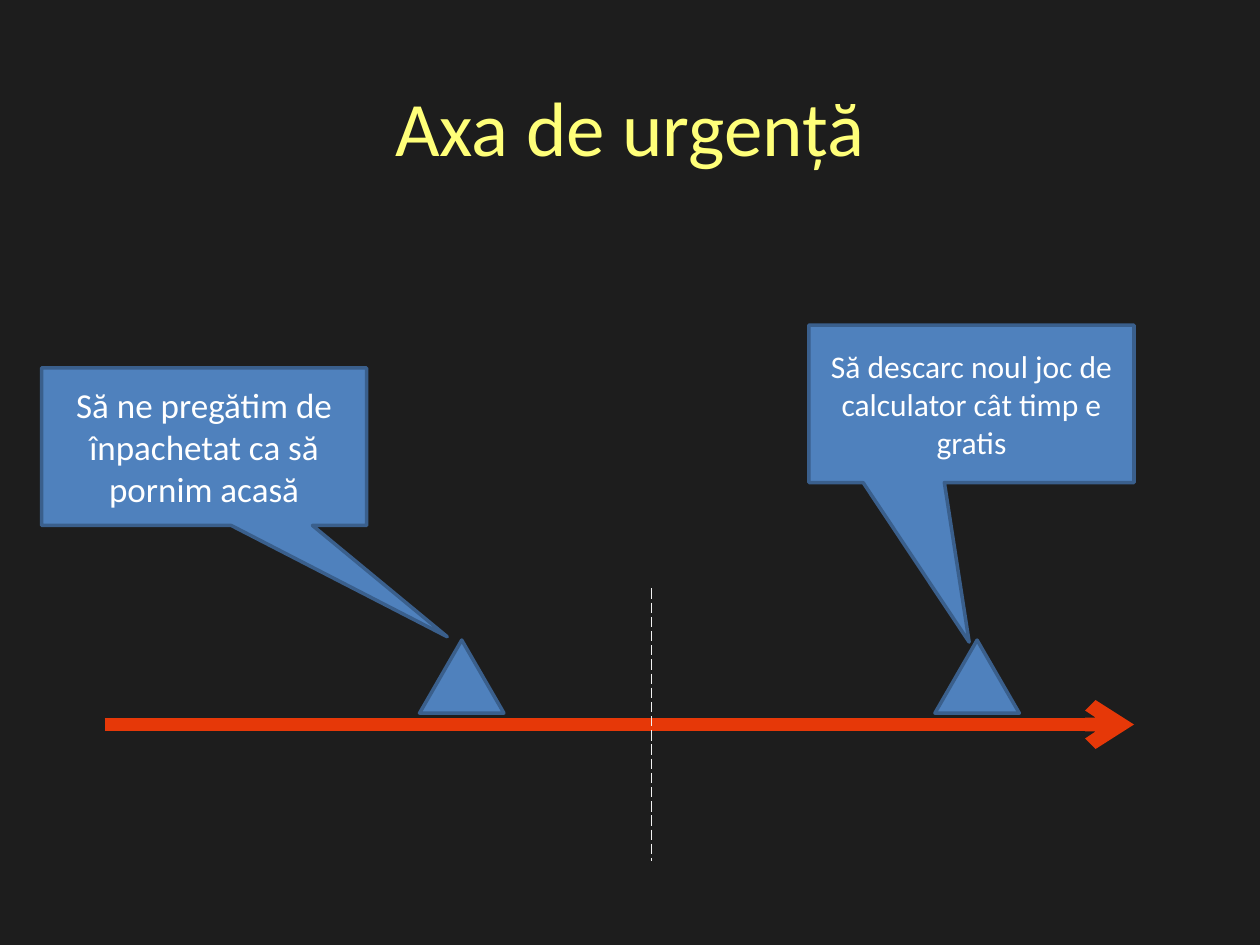
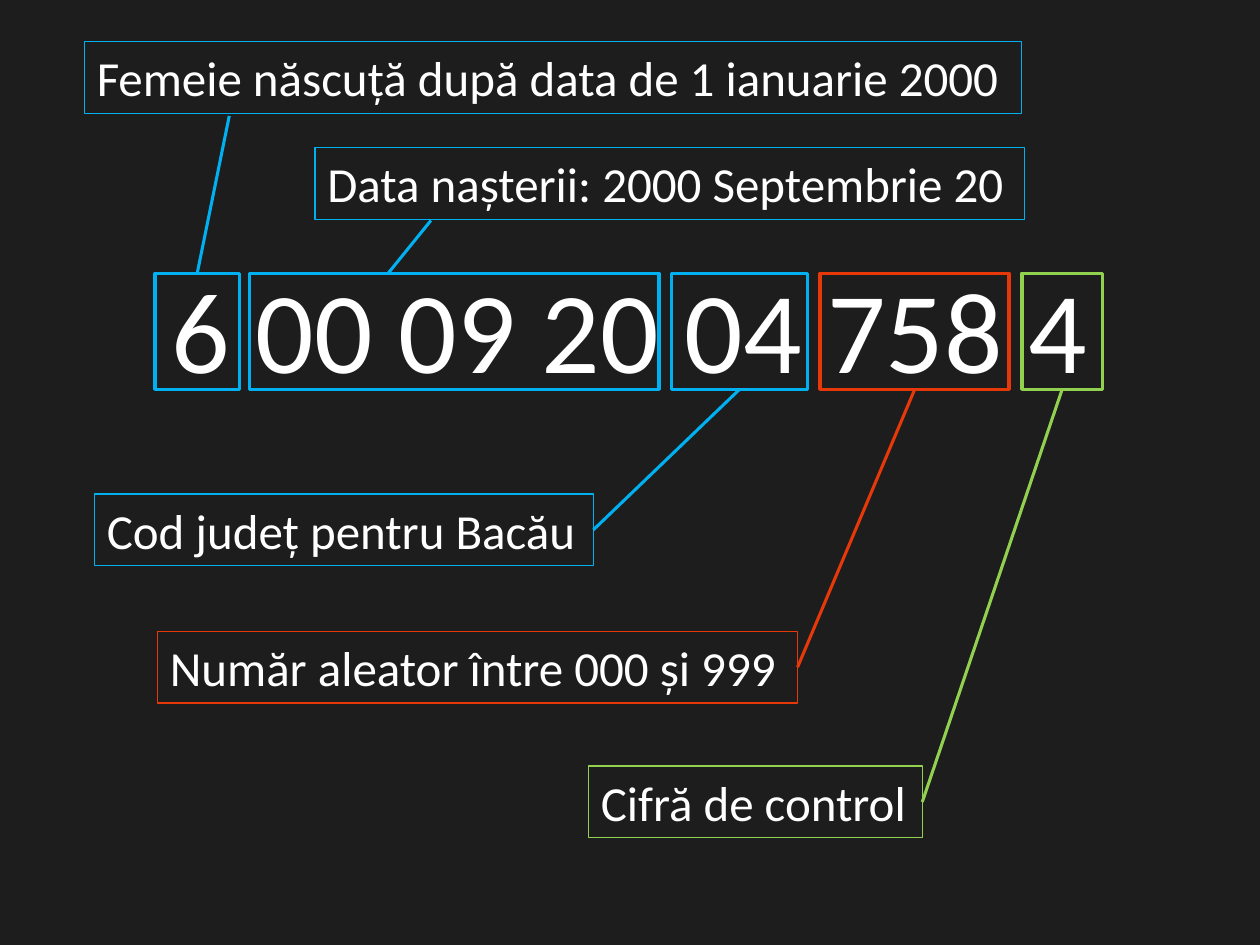
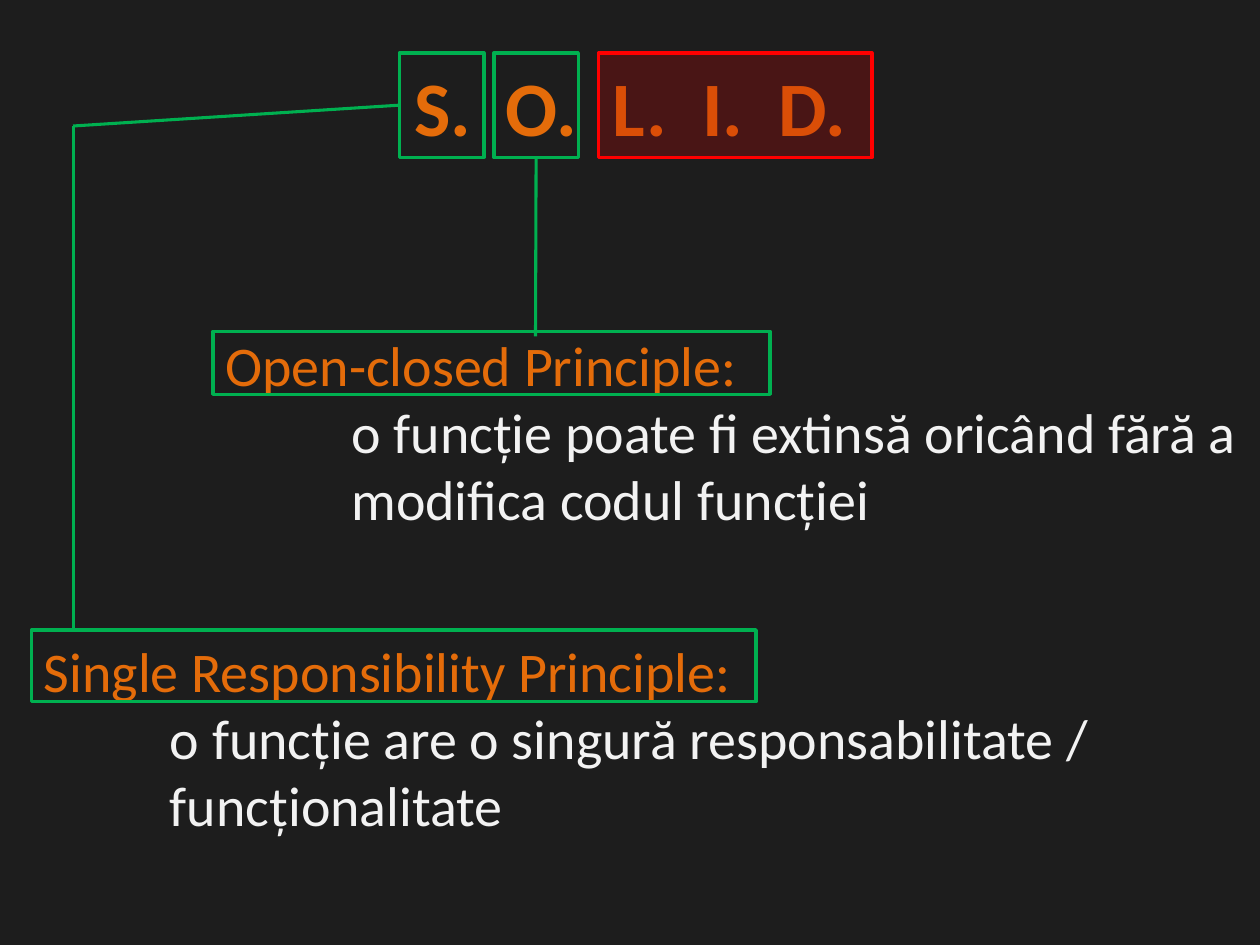
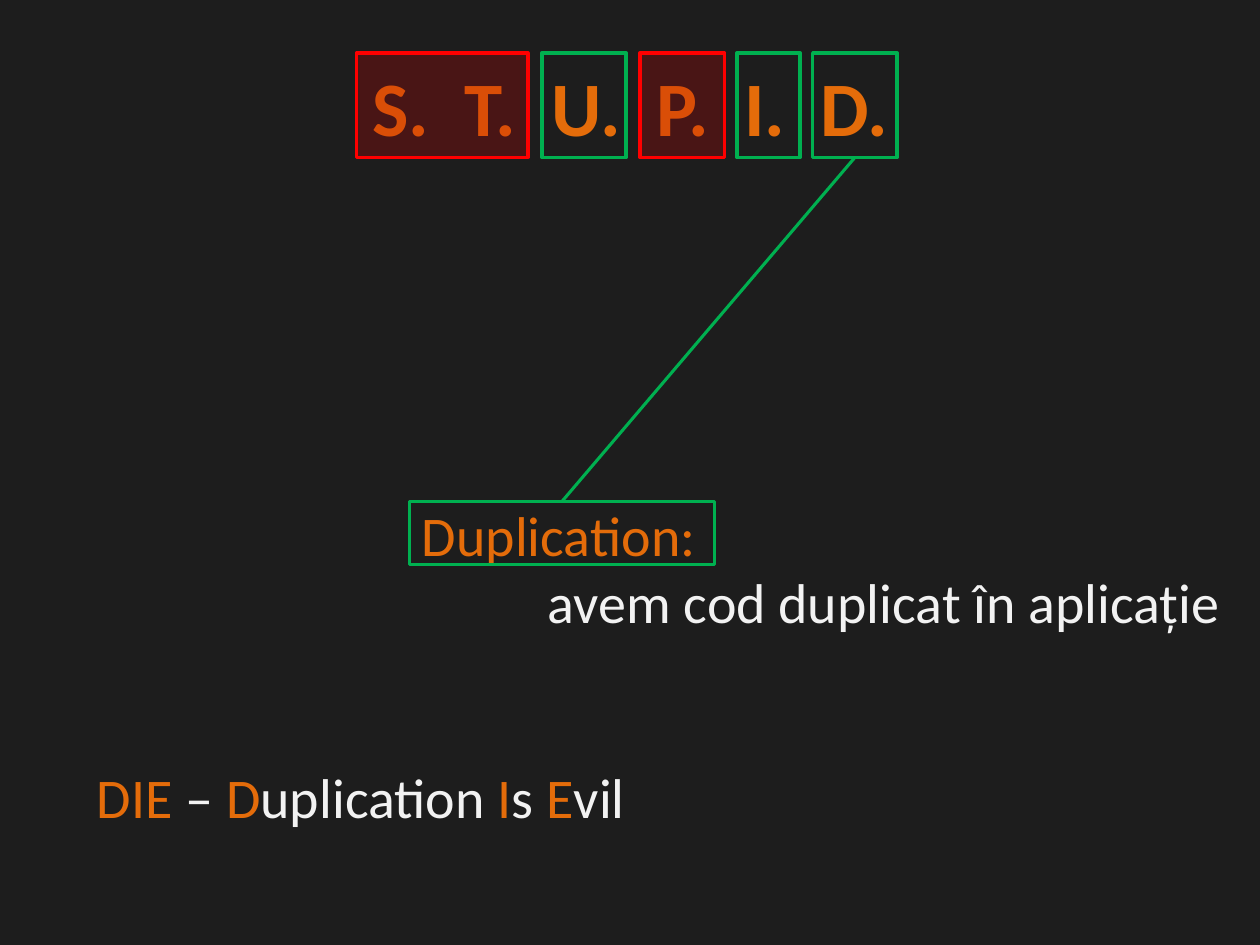
from lxml.etree import SubElement
from pptx import Presentation
from pptx.dml.color import RGBColor
from pptx.enum.dml import MSO_LINE
from pptx.enum.shapes import MSO_CONNECTOR, MSO_SHAPE
from pptx.enum.text import MSO_ANCHOR, MSO_AUTO_SIZE, PP_ALIGN
from pptx.oxml.ns import qn
from pptx.util import Inches, Pt

COLORS = {
    "background": "1D1D1D",
    "white": "FFFFFF",
    "light": "F2F2F2",
    "yellow": "FFFF79",
    "orange": "E46C0A",
    "green": "00B050",
    "lime": "92D050",
    "cyan": "00B0F0",
    "vermilion": "E63808",
    "red": "FF0000",
    "dark red": "C00000",
    "blue": "4F81BD",
    "blue edge": "3A5F8C",
}
FONT = "Calibri"
BOTTOM, LEFT, TOP, RIGHT = 2, 1, 0, 3


def rgb(name):
    return RGBColor.from_string(COLORS[name])


class Deck:
    """Holds the shared style and the slide being filled."""

    def __init__(self):
        self.presentation = Presentation()
        self.presentation.slide_width = Inches(10)
        self.presentation.slide_height = Inches(7.5)
        self.slide = None

    def new_slide(self):
        self.slide = self.presentation.slides.add_slide(self.presentation.slide_layouts[6])
        background = self.slide.background.fill
        background.solid()
        background.fore_color.rgb = rgb("background")

    def format_run(self, run, size, color, bold=False):
        run.font.name = FONT
        run.font.size = Pt(size)
        run.font.bold = bold
        run.font.color.rgb = rgb(color)

    def text(self, box, content, size, color, align=PP_ALIGN.LEFT):
        """Add a text box; the caller may add paragraphs to its text frame."""
        text_box = self.slide.shapes.add_textbox(*map(Inches, box))
        text_frame = text_box.text_frame
        text_frame.word_wrap = True
        text_frame.auto_size = MSO_AUTO_SIZE.SHAPE_TO_FIT_TEXT
        text_frame.text = content
        paragraph = text_frame.paragraphs[0]
        paragraph.alignment = align
        for run in paragraph.runs:
            self.format_run(run, size, color)
        return text_box

    def label(self, left, top, width, content, color):
        label = self.text((left, top, width, 0.57), content, 28, "white")
        label.line.color.rgb = rgb(color)
        label.line.width = Pt(0.75)
        return label

    def principle(self, box, name, meaning):
        """Add a principle's name with its meaning indented below."""
        text_frame = self.text(box, name, 32, "orange").text_frame
        paragraph = text_frame.add_paragraph()
        paragraph.text = meaning
        paragraph._p.get_or_add_pPr().set("marL", str(Inches(1)))
        self.format_run(paragraph.runs[0], 32, "light")

    def acronym(self, letters):
        """Add a heading of dotted letters with widened spaces between them."""
        heading = self.text((0, 0.42, 10, 0.84), "", 44, "orange", PP_ALIGN.CENTER)
        paragraph = heading.text_frame.paragraphs[0]
        for index, letter in enumerate(letters):
            if index:
                space = paragraph.add_run()
                space.text = " "
                self.format_run(space, 44, "orange", bold=True)
                space._r.get_or_add_rPr().set("spc", "1000")
            run = paragraph.add_run()
            run.text = f"{letter}."
            self.format_run(run, 44, "orange", bold=True)

    def mixed_text(self, box, parts, colors):
        """Add one line whose parts take the colours in turn."""
        paragraph = self.text(box, "", 32, colors[0]).text_frame.paragraphs[0]
        for index, part in enumerate(parts):
            run = paragraph.add_run()
            run.text = part
            self.format_run(run, 32, colors[index % len(colors)])

    def shape(self, kind, box, line, fill=None, alpha=None):
        shape = self.slide.shapes.add_shape(kind, *map(Inches, box))
        shape.shadow.inherit = False
        shape.line.color.rgb = rgb(line)
        shape.line.width = Pt(2)
        if fill is None:
            shape.fill.background()
            return shape
        shape.fill.solid()
        shape.fill.fore_color.rgb = rgb(fill)
        if alpha is not None:
            color = shape.fill._xPr.find(qn("a:solidFill"))[0]
            SubElement(color, qn("a:alpha")).set("val", str(alpha * 1000))
        return shape

    def frame(self, left, top, width, height, color):
        return self.shape(MSO_SHAPE.RECTANGLE, (left, top, width, height), color)

    def letter_frame(self, left, width=0.67):
        return self.frame(left, 0.42, width, 0.83, "green")

    def letter_cover(self, left, width=0.67):
        box = (left, 0.42, width, 0.83)
        return self.shape(MSO_SHAPE.RECTANGLE, box, "red", "dark red", alpha=27)

    def callout(self, left, top, tip, content, size):
        box = (left, top, 2.58, 1.25)
        callout = self.shape(MSO_SHAPE.RECTANGULAR_CALLOUT, box, "blue edge", "blue")
        callout.adjustments[0], callout.adjustments[1] = tip
        text_frame = callout.text_frame
        text_frame.word_wrap = True
        text_frame.vertical_anchor = MSO_ANCHOR.MIDDLE
        text_frame.text = content
        paragraph = text_frame.paragraphs[0]
        paragraph.alignment = PP_ALIGN.CENTER
        self.format_run(paragraph.runs[0], size, "white")

    def line(self, start, end, color, width=1.75):
        """Join two ends, each a point or a (shape, side) pair."""
        joined = [not isinstance(place[0], (int, float)) for place in (start, end)]
        points = [(0, 0) if is_joined else place
                  for is_joined, place in zip(joined, (start, end))]
        connector = self.slide.shapes.add_connector(
            MSO_CONNECTOR.STRAIGHT, *(Inches(value) for point in points for value in point))
        if joined[0]:
            connector.begin_connect(*start)
        if joined[1]:
            connector.end_connect(*end)
        connector.line.color.rgb = rgb(color)
        connector.line.width = Pt(width)
        SubElement(connector._element.spPr, qn("a:effectLst"))
        return connector


def urgency_axis(deck):
    deck.new_slide()
    axis = deck.line((0.83, 5.75), (9, 5.75), "vermilion", 8)
    SubElement(axis.line._get_or_add_ln(), qn("a:tailEnd")).set("type", "arrow")
    divider = deck.line((5.17, 4.67), (5.17, 6.83), "light", 0.75)
    divider.line.dash_style = MSO_LINE.LONG_DASH
    deck.text((0, 0.58, 10, 0.84), "Axa de urgență", 44, "yellow", PP_ALIGN.CENTER)
    for left in (7.42, 3.33):
        deck.shape(MSO_SHAPE.ISOSCELES_TRIANGLE, (left, 5.08, 0.67, 0.58), "blue edge", "blue")
    deck.callout(0.33, 2.92, (0.748, 1.207),
                 "Să ne pregătim de înpachetat ca să pornim acasă", 20)
    deck.callout(6.42, 2.58, (-0.007, 1.513),
                 "Să descarc noul joc de calculator cât timp e gratis", 18)


def personal_code(deck):
    deck.new_slide()
    deck.text((0, 2, 10, 1.21), "6 00 09 20 04 758 4", 66, "white", PP_ALIGN.CENTER)
    sex, birth, county, serial, control = [
        deck.frame(left, 2.17, width, 0.92, color)
        for left, width, color in (
            (1.23, 0.67, "cyan"), (1.98, 3.25, "cyan"), (5.33, 1.08, "cyan"),
            (6.51, 1.5, "vermilion"), (8.11, 0.64, "lime"))]

    deck.label(0.67, 0.33, 7.44, "Femeie născuță după data de 1 ianuarie 2000", "cyan")
    deck.line((sex, TOP), (1.82, 0.92), "cyan")
    deck.label(2.5, 1.17, 5.63, "Data nașterii: 2000 Septembrie 20", "cyan")
    deck.line((3.08, 2.17), (3.42, 1.75), "cyan")
    for digits, left, top, width, content, color in (
            (county, 0.75, 3.92, 3.96, "Cod județ pentru Bacău", "cyan"),
            (serial, 1.25, 5.01, 5.08, "Număr aleator între 000 și 999", "vermilion"),
            (control, 4.67, 6.08, 2.65, "Cifră de control", "lime")):
        label = deck.label(left, top, width, content, color)
        deck.line((label, RIGHT), (digits, BOTTOM), color)


def solid_principles(deck):
    deck.new_slide()
    deck.acronym("SOLID")
    single = deck.letter_frame(3.17)
    open_closed = deck.letter_frame(3.92)
    deck.principle((0.25, 5, 8.68, 1.72), "Single Responsibility Principle:",
                   "o funcție are o singură responsabilitate / funcționalitate")
    deck.principle((1.69, 2.57, 8.31, 1.72), "Open-closed Principle:",
                   "o funcție poate fi extinsă oricând fără a modifica codul funcției")
    deck.frame(0.25, 5, 5.75, 0.57, "green")
    deck.frame(1.69, 2.63, 4.42, 0.5, "green")
    deck.line((open_closed, BOTTOM), (4.25, 2.67), "green")
    deck.line((0.58, 1), (0.58, 5), "green")
    deck.line((0.58, 1), (single, LEFT), "green")
    deck.letter_cover(4.75, 2.17)


def stupid_principles(deck):
    deck.new_slide()
    deck.acronym("STUPID")
    deck.letter_cover(2.83, 1.36)
    deck.letter_cover(5.08)
    deck.letter_frame(4.3)
    deck.letter_frame(5.85, 0.5)
    duplication = deck.letter_frame(6.45)
    deck.principle((3.25, 3.92, 8.7, 1.18), "Duplication:", "avem cod duplicat în aplicație")
    name_frame = deck.frame(3.25, 3.98, 2.42, 0.5, "green")
    deck.line((duplication, BOTTOM), (name_frame, TOP), "green")
    deck.mixed_text((0.67, 6, 4.42, 0.64),
                    ("DIE", " – ", "D", "uplication ", "I", "s ", "E", "vil"),
                    ("orange", "light"))


def main():
    deck = Deck()
    urgency_axis(deck)
    personal_code(deck)
    solid_principles(deck)
    stupid_principles(deck)
    deck.presentation.save("out.pptx")


if __name__ == "__main__":
    main()
